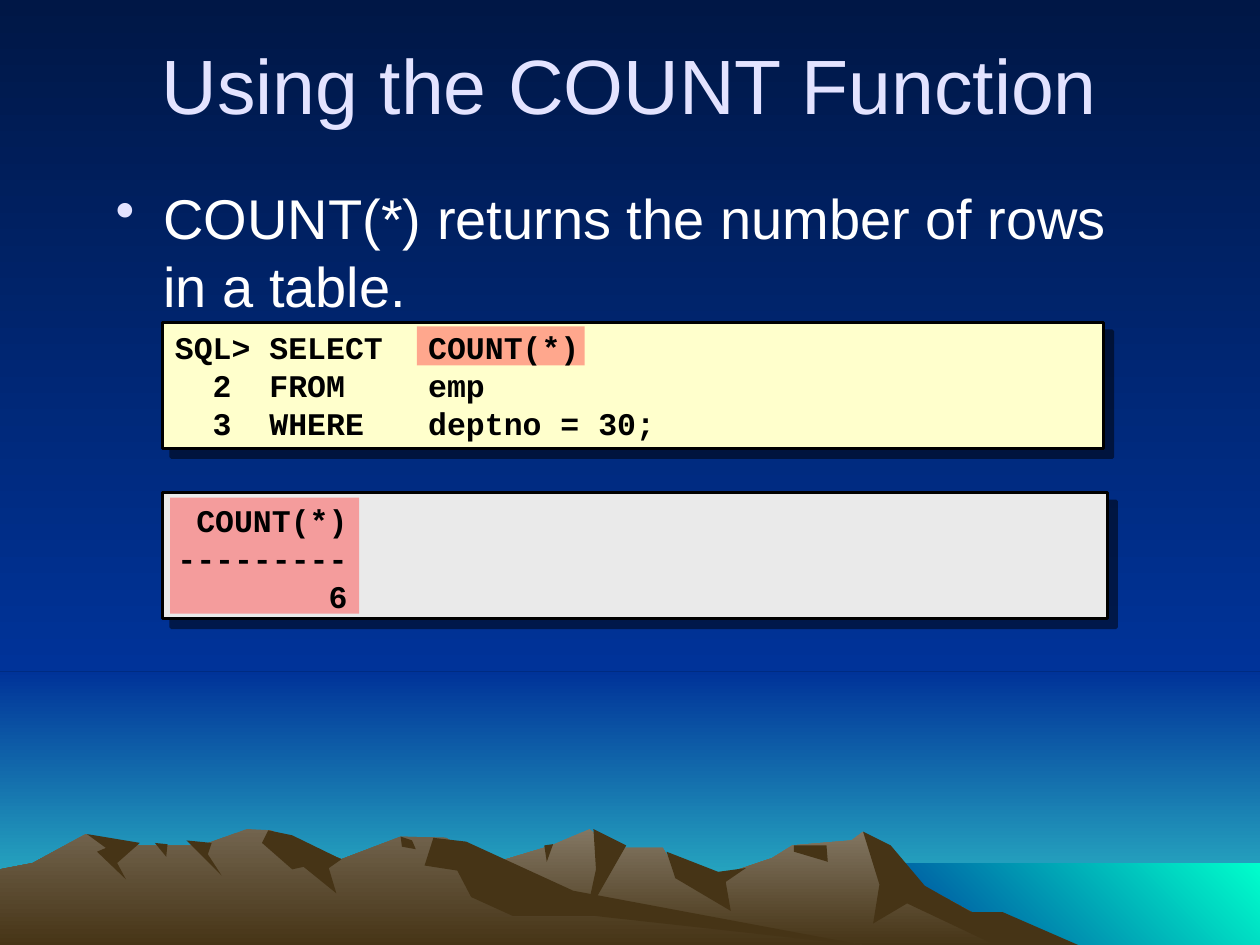
from lxml.etree import SubElement
from pptx import Presentation
from pptx.dml.color import RGBColor
from pptx.enum.shapes import MSO_SHAPE
from pptx.enum.text import MSO_ANCHOR, PP_ALIGN
from pptx.oxml import parse_xml
from pptx.oxml.ns import nsdecls, qn
from pptx.util import Cm, Pt

NIGHT = RGBColor.from_string("001746")
BLUE = RGBColor.from_string("003399")
HORIZON = RGBColor.from_string("33CCCC")
AQUA = RGBColor.from_string("00FFCC")
ROCK_LIGHT = RGBColor.from_string("837763")
ROCK_MID = RGBColor.from_string("72644E")
ROCK_DARK = RGBColor.from_string("463416")
CREAM = RGBColor.from_string("FFFFCC")
GRAY = RGBColor.from_string("EAEAEA")
RED = RGBColor.from_string("FF5050")
LAVENDER = RGBColor.from_string("E3E3FF")
WHITE = RGBColor.from_string("FFFFFF")
BLACK = RGBColor.from_string("000000")

UNIT = Cm(2.54) / 100
DOWN, DOWN_LEFT = 270, 225

BANDS = [
    ((0, 533, 1000, 217), (BLUE, HORIZON), DOWN),
    ((0, 0, 1000, 533), (NIGHT, BLUE), DOWN),
    ((683, 685, 317, 67), (AQUA, BLUE), DOWN_LEFT),
]

MOUNTAINS = [
    ((ROCK_LIGHT, ROCK_DARK), [
        (821, 751), (723, 698), (685, 660), (676, 667), (629, 671), (613, 681), (566, 697),
        (536, 690), (526, 673), (486, 673), (468, 658), (438, 671), (395, 684), (258, 751)]),
    ((ROCK_DARK,), [
        (771, 724), (734, 703), (707, 671), (685, 660), (698, 702), (693, 733), (720, 717),
        (792, 751), (858, 751), (796, 724)]),
    ((ROCK_DARK,), [(471, 658), (473, 690), (465, 727), (497, 671)]),
    ((ROCK_DARK,), [(529, 676), (536, 697), (580, 723), (576, 700), (592, 689), (570, 692)]),
    ((ROCK_DARK,), [(630, 671), (630, 676), (657, 684), (656, 671)]),
    ((ROCK_DARK,), [(432, 671), (439, 670), (434, 684)]),
    ((ROCK_MID, ROCK_DARK), [
        (690, 751), (432, 712), (354, 665), (318, 664), (271, 682), (215, 659), (196, 658),
        (160, 671), (94, 671), (68, 662), (26, 685), (0, 690), (0, 751)]),
    ((ROCK_DARK,), [
        (213, 659), (208, 669), (232, 690), (241, 688), (267, 709), (261, 689), (271, 682),
        (232, 663)]),
    ((ROCK_DARK,), [
        (370, 668), (344, 665), (337, 687), (363, 691), (374, 712), (407, 727), (472, 727),
        (690, 751), (455, 707)]),
    ((ROCK_DARK,), [(318, 664), (327, 667), (330, 674), (319, 672)]),
    ((ROCK_DARK,), [(148, 667), (168, 669), (165, 678), (176, 695)]),
    ((ROCK_DARK,), [(123, 669), (133, 670), (132, 680)]),
    ((ROCK_DARK,), [(69, 662), (111, 669), (93, 685), (100, 698), (77, 676), (84, 673)]),
]

PANELS = [((129, 256, 747, 100), CREAM), ((129, 391, 750, 100), GRAY)]
HIGHLIGHTS = [(331, 259, 133, 31), (135, 395, 150, 92)]

CODE_FONT = {"name": "Courier New", "size": Pt(18), "bold": True}
TEXTS = [
    {"at": (50, 25, 900, 125), "lines": ["Using the COUNT Function"], "color": LAVENDER,
     "font": {"name": "Arial", "size": Pt(44)}, "shadow": True,
     "para": {"alignment": PP_ALIGN.CENTER}},
    {"at": (131, 393, 747, 100), "lines": ["\tCOUNT(*)", "---------", "\t6"],
     "color": BLACK, "font": CODE_FONT, "tabs": [(135, "r")]},
    {"at": (129, 254, 750, 103), "color": BLACK, "font": CODE_FONT,
     "lines": ["SQL>\tSELECT\tCOUNT(*)", "\t2\tFROM\temp", "\t3\tWHERE\tdeptno = 30;"],
     "tabs": [(30, "l"), (75, "l"), (201, "l")], "anchor": MSO_ANCHOR.MIDDLE},
    {"at": (82, 141, 836, 117), "color": WHITE, "bullet": LAVENDER, "shadow": True,
     "lines": ["COUNT(*) returns the number of rows in a table."],
     "font": {"name": "Arial", "size": Pt(32)}, "para": {"space_before": Pt(8)}},
]


def place(at):
    return [round(value * UNIT) for value in at]


def paint(fill, colors, angle=DOWN):
    if len(colors) == 1:
        fill.solid()
        fill.fore_color.rgb = colors[0]
        return
    fill.gradient()
    fill.gradient_angle = angle
    for stop, color in zip(fill.gradient_stops, colors):
        stop.color.rgb = color


def shadow_effect(distance):
    return parse_xml(
        f'<a:effectLst {nsdecls("a")}><a:outerShdw blurRad="0" dist="{Pt(distance)}" '
        'dir="2700000" algn="ctr" rotWithShape="0"><a:srgbClr val="000000">'
        '<a:alpha val="50000"/></a:srgbClr></a:outerShdw></a:effectLst>')


def finish(shape, colors, angle=DOWN):
    shape.shadow.inherit = False
    shape.line.fill.background()
    paint(shape.fill, colors, angle)
    return shape


def add_rectangle(page, at, colors, angle=DOWN):
    return finish(page.shapes.add_shape(MSO_SHAPE.RECTANGLE, *place(at)), colors, angle)


def add_panel(page, at, color):
    panel = add_rectangle(page, at, (color,))
    panel.line.color.rgb = BLACK
    panel.line.width = Pt(2)
    properties = panel.element.spPr
    properties.replace(properties.find(qn("a:effectLst")), shadow_effect(7.1))


def add_text(page, text):
    frame = page.shapes.add_textbox(*place(text["at"])).text_frame
    frame.word_wrap = True
    frame.vertical_anchor = text.get("anchor", MSO_ANCHOR.TOP)
    for index, line in enumerate(text["lines"]):
        para = frame.add_paragraph() if index else frame.paragraphs[0]
        for name, value in text.get("para", {}).items():
            setattr(para, name, value)
        span = para.add_run()
        span.text = line
        for name, value in text["font"].items():
            setattr(span.font, name, value)
        span.font.color.rgb = text["color"]
        if text.get("shadow"):
            span.font._element.find(qn("a:solidFill")).addnext(shadow_effect(4))
        properties = para._p.get_or_add_pPr()
        if "bullet" in text:
            properties.set("marL", str(Cm(0.96)))
            properties.set("indent", str(-Cm(0.96)))
            color = SubElement(properties, qn("a:buClr"))
            SubElement(color, qn("a:srgbClr"), val=str(text["bullet"]))
            SubElement(properties, qn("a:buChar"), char="•")
        if "tabs" in text:
            stops = SubElement(properties, qn("a:tabLst"))
            for position, side in text["tabs"]:
                SubElement(stops, qn("a:tab"), pos=str(round(position * UNIT)), algn=side)


def main():
    deck = Presentation()
    deck.slide_width, deck.slide_height = Cm(25.4), Cm(19.05)
    page = deck.slides.add_slide(deck.slide_layouts[6])
    paint(page.background.fill, (NIGHT, BLUE))
    for band in BANDS:
        add_rectangle(page, *band)
    for colors, points in MOUNTAINS:
        outline = page.shapes.build_freeform(*points[0], scale=UNIT)
        outline.add_line_segments(points[1:], close=True)
        finish(outline.convert_to_shape(), colors)
    for panel in PANELS:
        add_panel(page, *panel)
    for at in HIGHLIGHTS:
        mark = add_rectangle(page, at, (RED,))
        color = mark.element.spPr.find(qn("a:solidFill"))[0]
        SubElement(color, qn("a:alpha"), val="50000")
    for text in TEXTS:
        add_text(page, text)
    deck.save("out.pptx")


if __name__ == "__main__":
    main()
